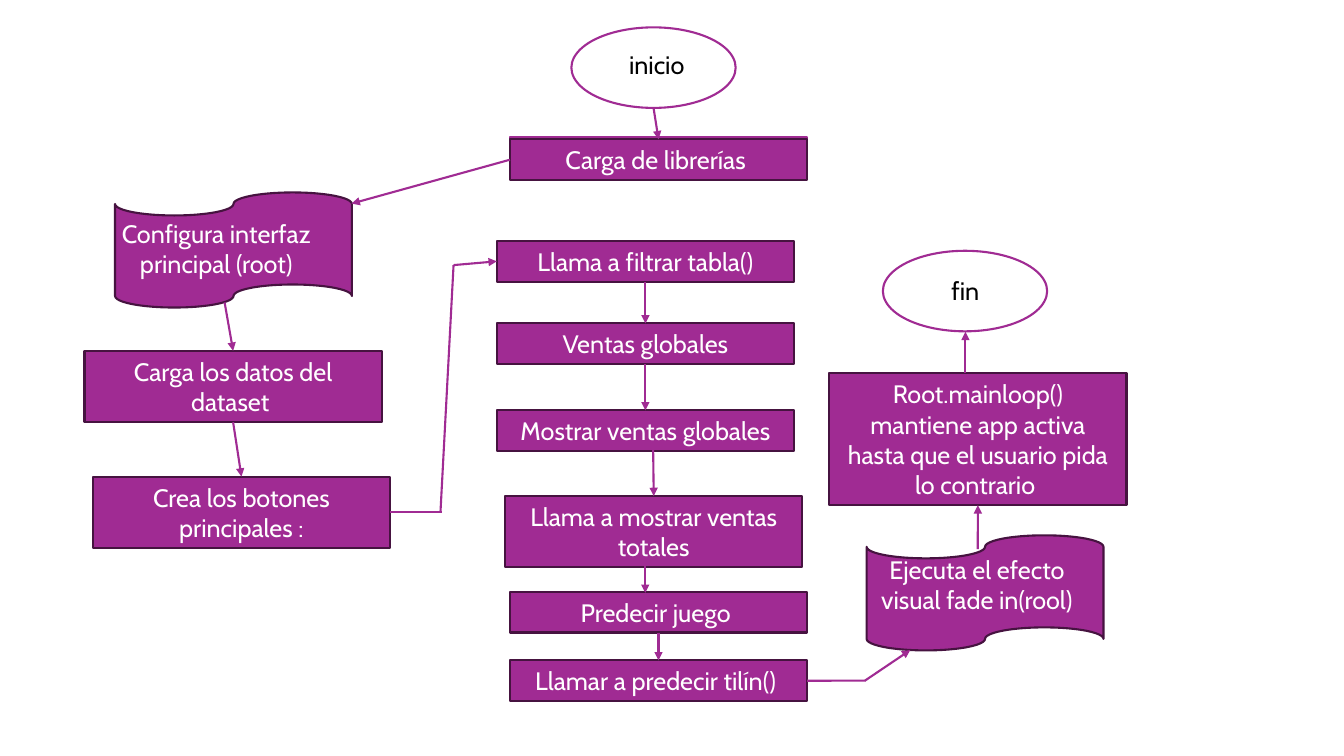
from dataclasses import dataclass
from typing import Optional, Union

from lxml import etree
from pptx import Presentation
from pptx.dml.color import RGBColor
from pptx.enum.shapes import MSO_CONNECTOR, MSO_SHAPE as Shape
from pptx.enum.text import MSO_ANCHOR as Anchor, MSO_AUTO_SIZE, PP_ALIGN
from pptx.oxml.ns import qn
from pptx.util import Cm, Pt

PURPLE, DARK, WHITE, BLACK = "A02B93", "461340", "FFFFFF", "000000"
BOX_W = 7.49
ONE_LINE, TWO_LINES, FOUR_LINES = 1.03, 1.8, 3.33


@dataclass
class Step:
    name: str
    x: float
    y: float
    h: float
    text: str


@dataclass
class Symbol:
    kind: Shape
    x: float
    y: float
    w: float
    h: float
    fill: str
    line: str


@dataclass
class Label:
    x: float
    y: float
    w: float
    h: float
    text: str
    color: str


@dataclass
class Side:
    step: str
    index: int


@dataclass
class Point:
    x: float
    y: float


End = Union[Side, Point]


@dataclass
class Link:
    start: End
    end: End
    arrow: bool = True


SYMBOLS = [
    Symbol(Shape.RECTANGLE, 12.85, 3.45, BOX_W, ONE_LINE, WHITE, PURPLE),
    Symbol(Shape.OVAL, 14.4, 0.69, 4.14, 2.03, WHITE, PURPLE),
    Symbol(Shape.OVAL, 22.25, 6.32, 4.14, 2.03, WHITE, PURPLE),
    Symbol(Shape.FLOWCHART_PUNCHED_TAPE, 2.9, 4.85, 5.97, 2.9, PURPLE, DARK),
    Symbol(Shape.FLOWCHART_PUNCHED_TAPE, 21.84, 13.49, 5.97, 2.9, PURPLE, DARK),
]

STEPS = [
    Step("librerías", 12.85, 3.51, ONE_LINE, "Carga de librerías "),
    Step("datos", 2.13, 8.84, TWO_LINES, "Carga los datos del dataset "),
    Step("botones", 2.34, 12.01, TWO_LINES, "Crea los botones principales :"),
    Step("filtrar", 12.52, 6.07, ONE_LINE, "Llama a filtrar tabla()"),
    Step("ventas", 12.52, 8.15, ONE_LINE, "Ventas globales"),
    Step("mostrar", 12.52, 10.34, ONE_LINE, "Mostrar ventas globales"),
    Step("totales", 12.73, 12.5, TWO_LINES, "Llama a mostrar ventas totales"),
    Step("predecir", 12.85, 14.91, ONE_LINE, "Predecir juego "),
    Step("tilín", 12.85, 16.64, ONE_LINE, "Llamar a predecir tilín() "),
    Step("mainloop", 20.9, 9.4, FOUR_LINES,
         "Root.mainloop() mantiene app activa hasta que el usuario pida lo contrario "),
]

LABELS = [
    Label(11.73, 1.12, 9.5, ONE_LINE, " inicio", BLACK),
    Label(19.58, 6.81, 9.5, ONE_LINE, " fin ", BLACK),
    Label(2.34, 5.38, 6.22, TWO_LINES, "Configura interfaz principal (root)", WHITE),
    Label(21.51, 13.84, 6.22, TWO_LINES, "Ejecuta el efecto visual fade in(rool)", WHITE),
]

LINKS = [
    Link(Point(16.47, 2.72), Side("librerías", 0)),
    Link(Side("librerías", 1), Point(8.86, 5.13)),
    Link(Point(5.66, 7.62), Side("datos", 0)),
    Link(Side("datos", 2), Side("botones", 0)),
    Link(Side("botones", 3), Point(11.15, 12.91), arrow=False),
    Link(Point(11.43, 6.68), Point(11.1, 12.91), arrow=False),
    Link(Point(11.43, 6.68), Side("filtrar", 1)),
    Link(Side("filtrar", 2), Side("ventas", 0)),
    Link(Side("ventas", 2), Side("mostrar", 0)),
    Link(Point(16.46, 11.33), Side("totales", 0)),
    Link(Point(16.26, 14.15), Point(16.26, 14.94)),
    Link(Side("predecir", 2), Side("tilín", 0)),
    Link(Side("tilín", 3), Point(21.82, 17.15), arrow=False),
    Link(Point(21.8, 17.15), Point(22.94, 16.38)),
    Link(Point(24.64, 13.84), Side("mainloop", 2)),
    Link(Point(24.33, 9.4), Point(24.33, 8.36)),
]


def rgb(value: str) -> RGBColor:
    return RGBColor.from_string(value)


def write(sp, text: str, *, color: str = WHITE, size: int = 18,
          font: str = "Cabin", anchor: Anchor = Anchor.MIDDLE) -> None:
    tf = sp.text_frame
    tf.word_wrap = True
    tf.auto_size = MSO_AUTO_SIZE.SHAPE_TO_FIT_TEXT
    tf.vertical_anchor = anchor
    p = tf.paragraphs[0]
    p.alignment = PP_ALIGN.CENTER
    r = p.add_run()
    r.text = text
    r.font.name = font
    r.font.size = Pt(size)
    r.font.color.rgb = rgb(color)


def add_symbol(s, item: Symbol):
    sp = s.shapes.add_shape(item.kind, Cm(item.x), Cm(item.y), Cm(item.w), Cm(item.h))
    sp.shadow.inherit = False
    sp.fill.solid()
    sp.fill.fore_color.rgb = rgb(item.fill)
    sp.line.color.rgb = rgb(item.line)
    sp.line.width = Pt(1.5)
    return sp


def add_step(s, step: Step):
    sp = add_symbol(s, Symbol(Shape.RECTANGLE, step.x, step.y, BOX_W, step.h, PURPLE, DARK))
    write(sp, step.text)
    return sp


def add_label(s, label: Label) -> None:
    sp = s.shapes.add_textbox(Cm(label.x), Cm(label.y), Cm(label.w), Cm(label.h))
    write(sp, label.text, color=label.color, anchor=Anchor.TOP)


def position(end: End) -> tuple[int, int]:
    return (Cm(end.x), Cm(end.y)) if isinstance(end, Point) else (0, 0)


def add_link(s, link: Link, boxes: dict) -> None:
    cx = s.shapes.add_connector(MSO_CONNECTOR.STRAIGHT, *position(link.start), *position(link.end))
    for end, connect in ((link.start, cx.begin_connect), (link.end, cx.end_connect)):
        if isinstance(end, Side):
            connect(boxes[end.step], end.index)
    cx.line.color.rgb = rgb(PURPLE)
    cx.line.width = Pt(1.5)
    sppr = cx._element.spPr
    if link.arrow:
        etree.SubElement(sppr.find(qn("a:ln")), qn("a:tailEnd"), type="triangle")
    etree.SubElement(sppr, qn("a:effectLst"))


def main() -> None:
    prs = Presentation()
    prs.slide_width, prs.slide_height = Cm(33.87), Cm(19.05)
    s = prs.slides.add_slide(prs.slide_layouts[6])
    for symbol in SYMBOLS:
        add_symbol(s, symbol)
    boxes = {step.name: add_step(s, step) for step in STEPS}
    for label in LABELS:
        add_label(s, label)
    for link in LINKS:
        add_link(s, link, boxes)
    prs.save("out.pptx")


if __name__ == "__main__":
    main()
